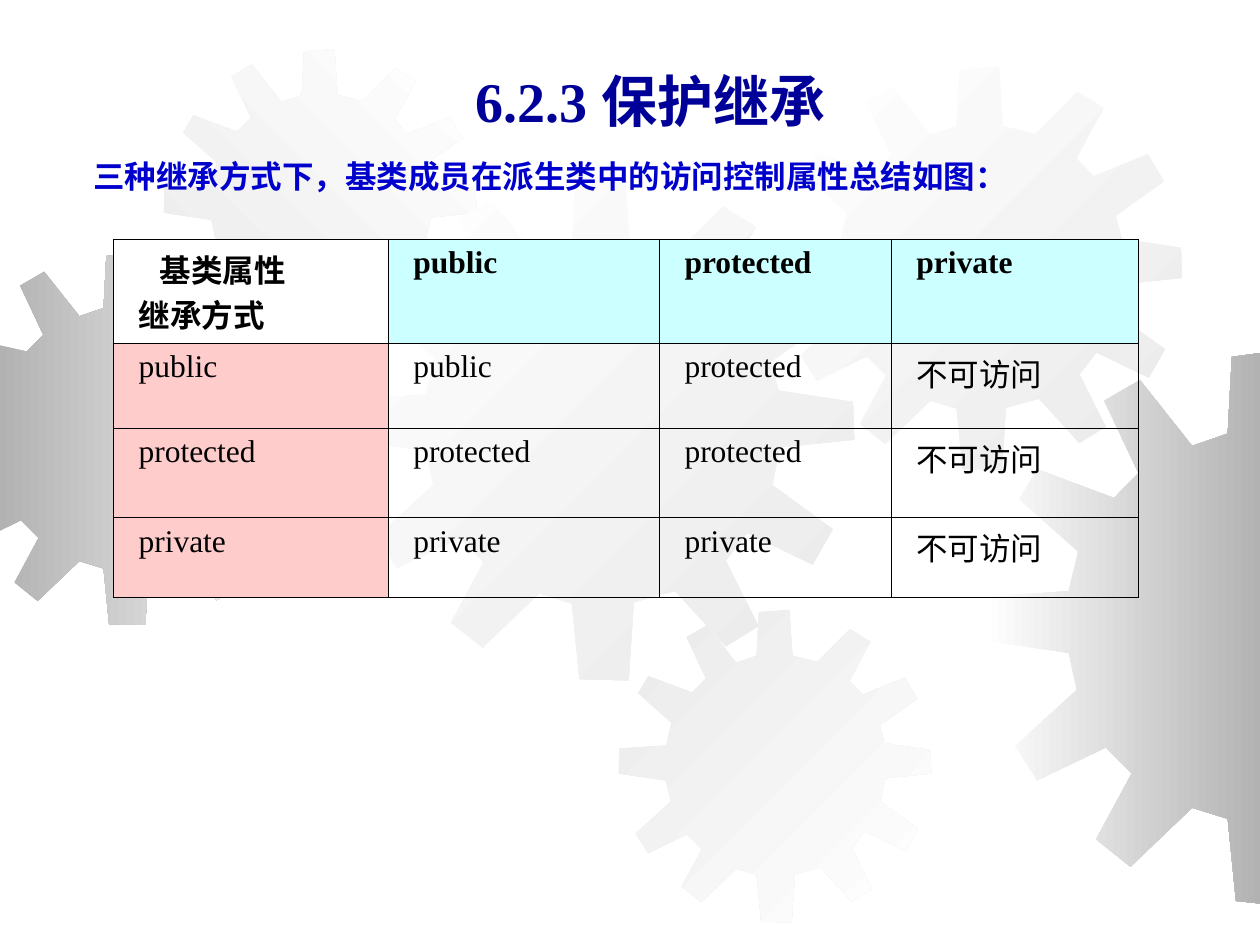
from lxml.etree import SubElement
from pptx import Presentation
from pptx.dml.color import RGBColor
from pptx.enum.text import MSO_ANCHOR, PP_ALIGN
from pptx.oxml.ns import qn
from pptx.util import Pt


def color(value):
    return RGBColor.from_string(value)


def style(para, size, name, value, bold):
    para.font.size = Pt(size)
    para.font.name = name
    para.font.color.rgb = color(value)
    para.font.bold = bold


deck = Presentation()
deck.slide_width, deck.slide_height = Pt(720), Pt(540)
page = deck.slides.add_slide(deck.slide_layouts[6])

# Background gears: one outline on a 401-unit grid, two of them cut at the slide edge
GEAR = [
    (255, 67), (223, 59), (219, 0), (180, 3), (177, 59), (151, 68), (113, 20),
    (87, 35), (112, 88), (94, 106), (38, 85), (25, 107), (68, 145), (61, 174),
    (1, 178), (0, 210), (61, 219), (67, 246), (22, 287), (38, 312), (88, 288),
    (107, 307), (81, 355), (106, 375), (151, 332), (177, 340), (183, 400),
    (222, 401), (226, 339), (259, 330), (299, 374), (325, 358), (299, 306),
    (316, 284), (368, 309), (384, 281), (336, 246), (342, 216), (401, 210),
    (400, 180), (341, 171), (335, 148), (383, 114), (367, 87), (313, 109),
    (296, 91), (323, 41), (297, 25),
]
LEFT_CUT = GEAR[:10] + [(64, 99), (64, 300)] + GEAR[20:]
RIGHT_CUT = GEAR[3:27] + [(202, 402), (202, 0)]
PALE, WHITE, GREY = "EAEAEA", "FFFFFF", "B2B2B2"

# outline, left, top, full width, first colour, last colour, gradient angle
gears = [
    (LEFT_CUT, -34.6, 144.7, 212.5, GREY, WHITE, 0),
    (GEAR, 93.6, 28.1, 178.6, PALE, WHITE, 45),
    (GEAR, 199.4, 100.1, 288.7, WHITE, PALE, 315),
    (GEAR, 353.5, 348.5, 178.6, PALE, WHITE, 315),
    (GEAR, 445, 38.2, 230.4, WHITE, PALE, 315),
    (RIGHT_CUT, 563, 201.6, 314, WHITE, GREY, 0),
]
for outline, left, top, width, first, last, angle in gears:
    builder = page.shapes.build_freeform(*outline[0], scale=Pt(width) / 401)
    builder.add_line_segments(outline[1:], close=True)
    gear = builder.convert_to_shape(Pt(left), Pt(top))
    gear.shadow.inherit = False
    gear.line.fill.background()
    gear.fill.gradient()
    gear.fill.gradient_angle = angle
    for stop, value in zip(gear.fill.gradient_stops, (first, last)):
        stop.color.rgb = color(value)

# Title
title = page.shapes.add_textbox(Pt(48), Pt(24), Pt(648), Pt(66))
title.text_frame.word_wrap = True
title.text_frame.vertical_anchor = MSO_ANCHOR.MIDDLE
para = title.text_frame.paragraphs[0]
para.text = "6.2.3 保护继承"
para.alignment = PP_ALIGN.CENTER
style(para, 32, "Times New Roman", "000099", True)

# Introduction
intro = page.shapes.add_textbox(Pt(39), Pt(83), Pt(553), Pt(34.5))
frame = intro.text_frame
frame.word_wrap = False
frame.vertical_anchor = MSO_ANCHOR.MIDDLE
frame.margin_left, frame.margin_right = Pt(14.4), Pt(13)
frame.margin_top = frame.margin_bottom = Pt(6.5)
para = frame.paragraphs[0]
para.text = "三种继承方式下，基类成员在派生类中的访问控制属性总结如图："
style(para, 18, "Arial", "0000CC", True)

# Access table
rows = [
    ["基类属性\n继承方式", "public", "protected", "private"],
    ["public", "public", "protected", "不可访问"],
    ["protected", "protected", "protected", "不可访问"],
    ["private", "private", "private", "不可访问"],
]
widths = [157, 155, 132.5, 141.5]
heights = [59.5, 48.5, 51, 45.5]
table = page.shapes.add_table(4, 4, Pt(64.8), Pt(136.8), Pt(sum(widths)), Pt(sum(heights))).table
table.first_row = table.horz_banding = False
for column, width in zip(table.columns, widths):
    column.width = Pt(width)
for row, height in zip(table.rows, heights):
    row.height = Pt(height)

for r, texts in enumerate(rows):
    for c, text in enumerate(texts):
        cell = table.cell(r, c)
        cell.text = text
        cell.margin_left, cell.margin_right = Pt(14.4), Pt(13)
        cell.margin_top = cell.margin_bottom = Pt(3.6)
        for para in cell.text_frame.paragraphs:
            properties = para._p.get_or_add_pPr()
            properties.set("marL", str(Pt(27)))
            properties.set("indent", str(Pt(-27)))
            style(para, 18, "Times New Roman", "000000", r == 0)

        cell_properties = cell._tc.get_or_add_tcPr()
        for side in ("lnL", "lnR", "lnT", "lnB"):
            border = SubElement(cell_properties, qn(f"a:{side}"), w=str(Pt(0.45)))
            SubElement(SubElement(border, qn("a:solidFill")), qn("a:srgbClr"), val="000000")

        if r and c:
            cell.fill.background()
        else:
            cell.fill.solid()
            cell.fill.fore_color.rgb = color("FFCCCC" if r else "CCFFFF" if c else WHITE)

# The corner's upper label is set in from its lower one
corner = table.cell(0, 0).text_frame.paragraphs[0]
corner._p.pPr.set("indent", str(Pt(-13.5)))
corner._p.pPr.set("marL", str(Pt(27 - 1.5)))

deck.save("out.pptx")
